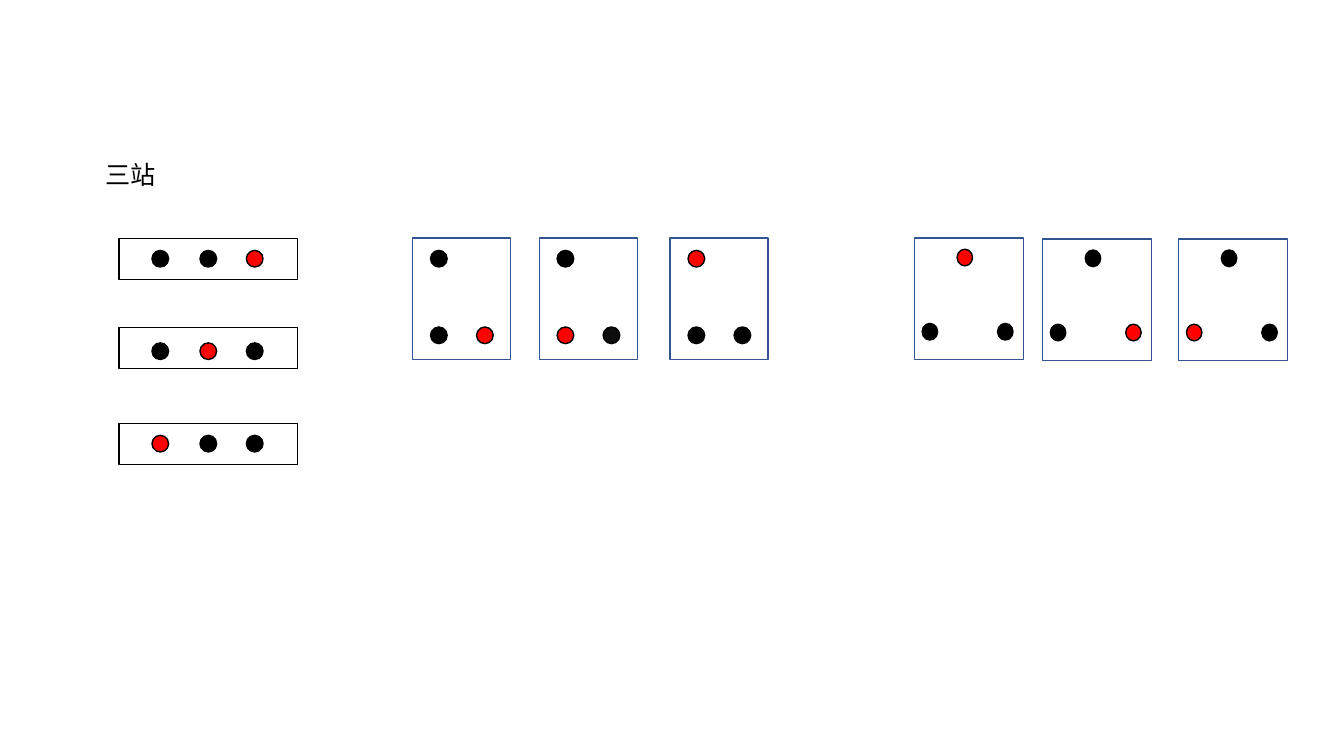
from lxml import etree
from pptx import Presentation
from pptx.dml.color import RGBColor
from pptx.enum.shapes import MSO_SHAPE
from pptx.oxml.ns import qn
from pptx.util import Cm, Pt

DOT = MSO_SHAPE.FLOWCHART_CONNECTOR
RECTANGLE = MSO_SHAPE.RECTANGLE
FONT = "Noto Sans CJK SC"
BLACK, SOFT_BLACK, RED, BLUE = "000000", "0D0D0D", "FF0000", "325491"
DOT_HEIGHT = 0.42


def color(value):
    return RGBColor.from_string(value)


def add_outline(shapes, kind, area, line, width, fill=None):
    shape = shapes.add_shape(kind, *(Cm(length) for length in area))
    shape.shadow.inherit = False
    if fill:
        shape.fill.solid()
        shape.fill.fore_color.rgb = color(fill)
    else:
        shape.fill.background()
    shape.line.color.rgb = color(line)
    shape.line.width = Pt(width)


def add_stations(shapes, left, top, offsets, fills, width=DOT_HEIGHT):
    """Draw one dot for each offset from the given corner."""
    for (across, down), fill in zip(offsets, fills):
        area = (left + across, top + down, width, DOT_HEIGHT)
        add_outline(shapes, DOT, area, BLACK, 1, fill)


def add_tile(page, left, top, size, offsets, fills, dot_width):
    group = page.shapes.add_group_shape()
    add_stations(group.shapes, left, top, offsets, fills, dot_width)
    add_outline(group.shapes, RECTANGLE, (left, top, *size), BLUE, 1)


def add_title(page, text):
    box = page.shapes.add_textbox(Cm(2.41), Cm(3.89), Cm(6.5), Cm(1.02))
    box.text_frame.word_wrap = True
    span = box.text_frame.paragraphs[0].add_run()
    span.text = text
    for name, value in {"size": Pt(18), "name": FONT}.items():
        setattr(span.font, name, value)
    span.font.color.rgb = color(BLACK)
    # East Asian typeface
    latin = span.font._element.find(qn("a:latin"))
    east_asian = etree.Element(qn("a:ea"), typeface=FONT)
    latin.addnext(east_asian)


def fills_with_red(red):
    return [RED if index == red else BLACK for index in range(3)]


def main():
    deck = Presentation()
    deck.slide_width, deck.slide_height = Cm(33.87), Cm(19.05)
    page = deck.slides.add_slide(deck.slide_layouts[6])
    add_title(page, "三站")

    # Stations in a line
    line_offsets = [(0.83, 0), (2.04, 0), (3.21, 0)]
    for row, frame_top in enumerate((6.01, 8.25, 10.67)):
        group = page.shapes.add_group_shape()
        add_stations(group.shapes, 3, 6.31 + row * 2.33, line_offsets,
                     fills_with_red(2 - row))
        add_outline(page.shapes, RECTANGLE, (3, frame_top, 4.5, 1.03),
                    BLACK, 0.75)

    # Stations at a right angle
    corner_offsets = [(0.45, 0.31), (0.45, 2.24), (1.61, 2.24)]
    corner_tiles = [
        (10.4, fills_with_red(2)),
        (13.59, [BLACK, RED, SOFT_BLACK]),
        (16.89, fills_with_red(0)),
    ]
    for left, fills in corner_tiles:
        add_tile(page, left, 6, (2.47, 3.06), corner_offsets, fills, DOT_HEIGHT)

    # Stations in a triangle
    triangle_offsets = [(1.08, 0.28), (0.2, 2.15), (2.1, 2.15)]
    triangle_tiles = [(23.04, 6, 0), (26.27, 6.02, 2), (29.7, 6.02, 1)]
    for left, top, red in triangle_tiles:
        add_tile(page, left, top, (2.75, 3.06), triangle_offsets,
                 fills_with_red(red), 0.39)

    deck.save("out.pptx")


main()
